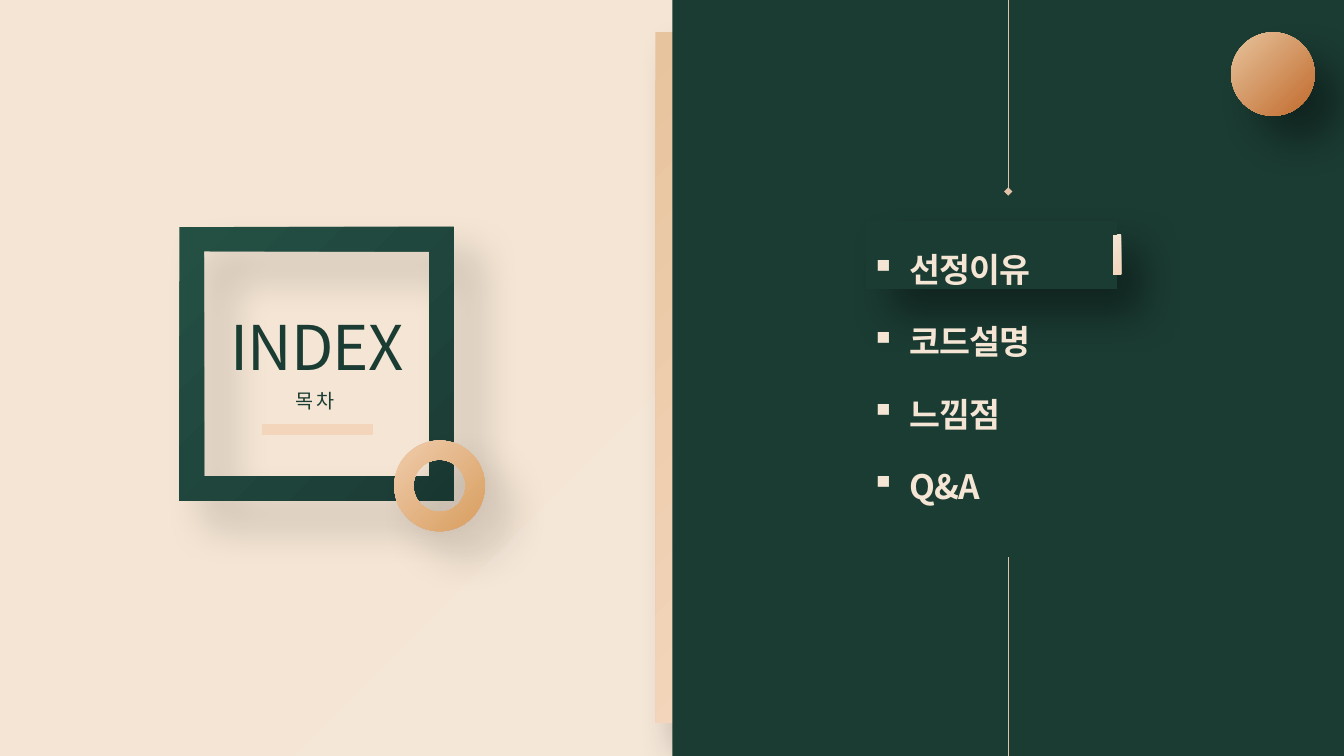
from lxml import etree
from pptx import Presentation
from pptx import util as u
from pptx.dml.color import RGBColor
from pptx.enum import shapes, text
from pptx.oxml.ns import qn

FONT = "Noto Sans CJK KR"
CREAM = RGBColor(0xF4, 0xE5, 0xD4)
PALE_CREAM = RGBColor(0xF5, 0xE7, 0xD8)
SAND = RGBColor(0xE7, 0xC4, 0x9D)
PEACH = RGBColor(0xF3, 0xD5, 0xBB)
LIGHT_PEACH = RGBColor(0xF0, 0xCC, 0xAC)
GOLD = RGBColor(0xD8, 0x9E, 0x5F)
COPPER = RGBColor(0xC1, 0x6A, 0x2C)
ROSE = RGBColor(0xE4, 0xC2, 0xA9)
GREEN = RGBColor(0x1B, 0x3C, 0x33)
BLUE_GREEN = RGBColor(0x1B, 0x3C, 0x35)
MID_GREEN = RGBColor(0x24, 0x50, 0x44)

AUTO = shapes.MSO_SHAPE
CENTER = text.PP_ALIGN.CENTER


class IndexSlide:
    def __init__(self, presentation):
        self.slide = presentation.slides.add_slide(presentation.slide_layouts[6])

    def gradient(self, fill, start, end):
        """Blend from the top left to the bottom right."""
        fill.gradient()
        fill.gradient_angle = 315
        for stop, color, position in zip(fill.gradient_stops, (start, end), (0, 1)):
            stop.color.rgb = color
            stop.position = position

    def shape(self, kind, box, start, end, shadow=0, adjustment=None):
        shape = self.slide.shapes.add_shape(kind, *map(u.Inches, box))
        if adjustment is not None:
            shape.adjustments[0] = adjustment
        self.gradient(shape.fill, start, end)
        shape.line.fill.background()
        shape.shadow.inherit = False
        if shadow:
            effects = shape._element.spPr.find(qn("a:effectLst"))
            outer = etree.SubElement(
                effects, qn("a:outerShdw"), blurRad=str(u.Pt(30)), dist=str(u.Pt(26)),
                dir=str(45 * 60000), algn="tl", rotWithShape="0")
            color = etree.SubElement(outer, qn("a:srgbClr"), val="000000")
            etree.SubElement(color, qn("a:alpha"), val=str(shadow * 1000))

    def line(self, start, end, color, width, tail=None):
        line = self.slide.shapes.add_connector(
            shapes.MSO_CONNECTOR.STRAIGHT, *map(u.Inches, (*start, *end)))
        line.line.color.rgb = color
        line.line.width = u.Pt(width)
        if tail:
            etree.SubElement(line.line._get_or_add_ln(), qn("a:tailEnd"), type=tail)
        etree.SubElement(line._element.spPr, qn("a:effectLst"))

    def text_box(self, box):
        frame = self.slide.shapes.add_textbox(*map(u.Inches, box)).text_frame
        frame.word_wrap = True
        frame.vertical_anchor = text.MSO_ANCHOR.MIDDLE
        return frame

    def style(self, paragraph, size, color, bold=False):
        font = paragraph.font
        font.size, font.bold, font.name = u.Pt(size), bold, FONT
        font.color.rgb = color
        properties = paragraph._p.pPr.find(qn("a:defRPr"))
        properties.set("spc", "-60")
        etree.SubElement(properties, qn("a:ea"), typeface=FONT)

    def heading(self, wording, box, size):
        frame = self.text_box(box)
        frame.margin_left = frame.margin_right = 0
        frame.margin_top = frame.margin_bottom = 0
        paragraph = frame.paragraphs[0]
        paragraph.text = wording
        paragraph.alignment = CENTER
        paragraph.line_spacing = 1.2
        self.style(paragraph, size, GREEN)

    def bullets(self, items, box, size, gap):
        frame = self.text_box(box)
        for number, item in enumerate(items):
            paragraph = frame.add_paragraph() if number else frame.paragraphs[0]
            paragraph.text = item
            if number:
                paragraph.space_before = u.Pt(gap)
            properties = paragraph._p.get_or_add_pPr()
            indent = u.Inches(0.38)
            properties.set("marL", str(indent))
            properties.set("indent", str(-indent))
            etree.SubElement(properties, qn("a:buChar"), char="▪")
            self.style(paragraph, size, CREAM, bold=True)


def main():
    presentation = Presentation()
    presentation.slide_width = u.Inches(13.33)
    presentation.slide_height = u.Inches(7.5)
    index = IndexSlide(presentation)

    # Background and right panel
    index.gradient(index.slide.background.fill, CREAM, PALE_CREAM)
    index.shape(AUTO.RECTANGLE, (6.5, 0.32, 0.37, 6.85), SAND, PEACH, shadow=40)
    index.shape(AUTO.RECTANGLE, (6.67, 0, 6.67, 7.5), GREEN, BLUE_GREEN)

    # Framed title with ring
    index.shape(AUTO.FRAME, (1.78, 2.25, 2.72, 2.72), MID_GREEN, BLUE_GREEN,
                shadow=17, adjustment=0.09)
    index.shape(AUTO.DONUT, (3.91, 4.37, 0.9, 0.9), LIGHT_PEACH, GOLD,
                shadow=17, adjustment=0.213)
    index.heading("INDEX", (1.78, 3.05, 2.73, 0.62), 44)
    index.heading("목 차 ", (1.78, 3.78, 2.73, 0.34), 14)
    index.line((2.6, 4.26), (3.7, 4.26), PEACH, 8)

    # Highlighted entry and list of contents
    index.shape(AUTO.RECTANGLE, (8.59, 2.19, 2.49, 0.68), GREEN, BLUE_GREEN, shadow=40)
    index.shape(AUTO.RECTANGLE, (11.04, 2.33, 0.08, 0.39), CREAM, PEACH)
    index.bullets(("선정이유", "코드설명", "느낌점", "Q&A"),
                  (8.54, 0.32, 2.53, 6.85), size=24, gap=22.75)

    # Ball and vertical guide lines
    index.shape(AUTO.OVAL, (12.21, 0.32, 0.83, 0.83), SAND, COPPER, shadow=40)
    index.line((10, 0), (10, 1.9), ROSE, 0.75, tail="diamond")
    index.line((10, 5.53), (10, 7.5), ROSE, 0.75)

    presentation.save("out.pptx")


if __name__ == "__main__":
    main()
